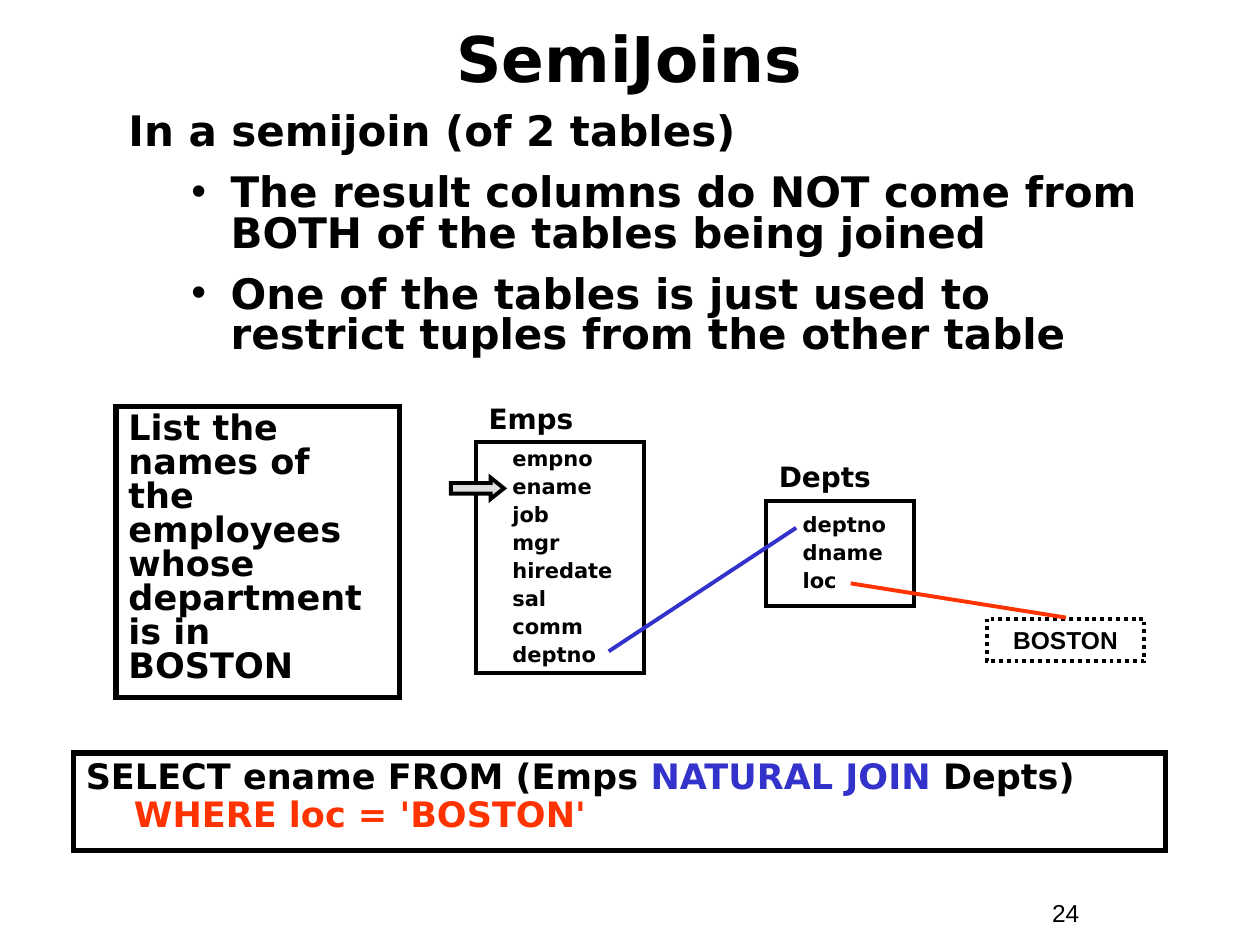
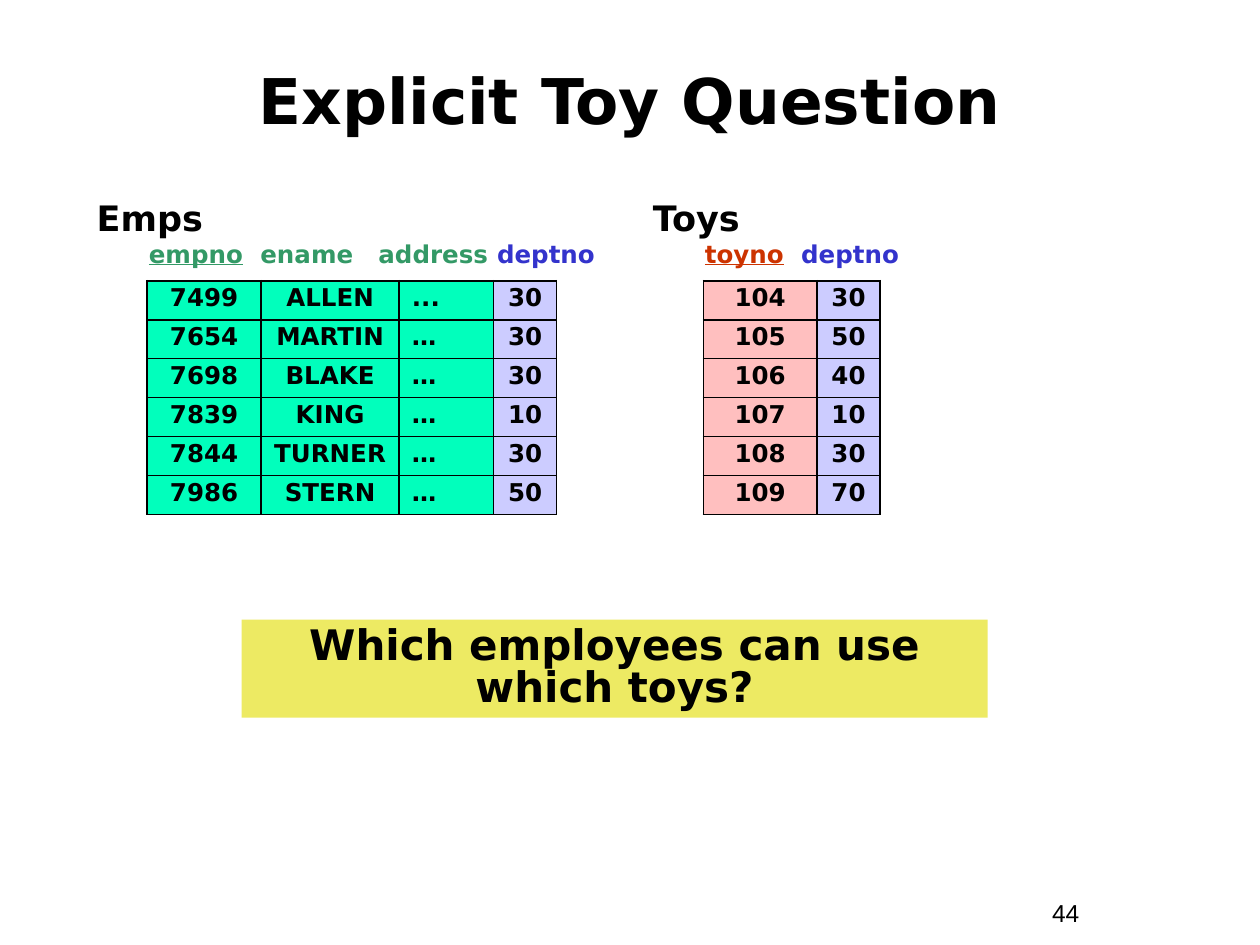
"""Build two slides on semijoins and a toy question."""
import pptx
import pptx.dml.color
import pptx.enum.dml
import pptx.enum.shapes
import pptx.enum.text
import pptx.oxml
import pptx.oxml.ns
import pptx.util
from pptx.util import Cm

BLACK, BLUE, RED = "000000", "3333CC", "FF3300"
GREEN, BRICK = "339966", "CC3300"
MINT, PINK, LILAC, YELLOW, GREY = "01FFBC", "FFBFBF", "CCCCFF", "EDEA63", "DDDDDD"
HEADING_FONT, PLAIN_FONT = "DejaVu Sans", "Arial"
PAGE_NUMBER_AT = (20.96, 17.98, 2.34, 0.86)

SEMIJOINS = {"title": "SemiJoins", "title_at": (0.84, 0.43, 23.7, 1.47), "number": "24"}
LEAD = "In a semijoin (of 2 tables)"
POINTS = [
    "The result columns do NOT come from BOTH of the tables being joined",
    "One of the tables is just used to restrict tuples from the other table",
]
REQUEST = "List the names of the employees whose department is in BOSTON"
QUERY = [
    ("SELECT ename FROM (Emps ", BLACK),
    ("NATURAL JOIN", BLUE),
    (" Depts)", BLACK),
    "\n",
    ("WHERE loc = 'BOSTON'", RED),
]
SCHEMAS = [
    ("Emps", (9.6, 8.92, 3.38, 4.65),
     ["empno", "ename", "job", "mgr", "hiredate", "sal", "comm", "deptno"]),
    ("Depts", (15.45, 10.1, 2.97, 2.12), ["deptno", "dname", "loc"]),
]
LINKS = [
    ((12.27, 13.13), (16.05, 10.64), BLUE),
    ((17.15, 11.76), (21.49, 12.45), RED),
]

TOYS = {"title": "Explicit Toy Question", "title_at": (0.84, 0.84, 23.7, 2.34), "number": "44"}
RELATIONS = [
    {
        "name": "Emps", "left": 2.97,
        "columns": [("empno", GREEN, MINT, 2.29, 0), ("ename", GREEN, MINT, 2.79, 2.25),
                    ("address", GREEN, MINT, 1.9, 4.63), ("deptno", BLUE, LILAC, 1.27, 7.02)],
        "rows": [("7499", "ALLEN", "...", "30"), ("7654", "MARTIN", "…", "30"),
                 ("7698", "BLAKE", "…", "30"), ("7839", "KING", "…", "10"),
                 ("7844", "TURNER", "…", "30"), ("7986", "STERN", "…", "50")],
    },
    {
        "name": "Toys", "left": 14.18,
        "columns": [("toyno", BRICK, PINK, 2.29, 0), ("deptno", BLUE, LILAC, 1.27, 1.94)],
        "rows": [("104", "30"), ("105", "50"), ("106", "40"),
                 ("107", "10"), ("108", "30"), ("109", "70")],
    },
]
TABLE_TOP, TABLE_HEIGHT = 5.66, 4.71
QUESTION = "Which employees can use which toys?"


def rgb(value):
    """Turn a hex string into a colour."""
    return pptx.dml.color.RGBColor.from_string(value)


def add_xml(parent, tag, inner="", **attributes):
    """Append a drawing element with the given attributes to parent."""
    listed = " ".join(f'{key}="{value}"' for key, value in attributes.items())
    parent.append(pptx.oxml.parse_xml(
        f'<a:{tag} {pptx.oxml.ns.nsdecls("a")} {listed}>{inner}</a:{tag}>'))


def write(frame, paragraphs, size=14, font=HEADING_FONT, bold=True, align="LEFT", anchor="TOP",
          spacing=1.0, before=0, left=0, hang=0, bullet_from=None):
    """Fill a text frame; a paragraph is a string or a list of coloured runs."""
    for index, content in enumerate(paragraphs):
        paragraph = frame.paragraphs[0] if index == 0 else frame.add_paragraph()
        properties = paragraph._p.get_or_add_pPr()
        bulleted = bullet_from is not None and index >= bullet_from
        if bulleted or bullet_from is None:
            properties.set("marL", str(Cm(left)))
            properties.set("indent", str(-Cm(hang)))
        if bulleted:
            add_xml(properties, "buFont", typeface=PLAIN_FONT)
            add_xml(properties, "buChar", char="•")
        paragraph.alignment = getattr(pptx.enum.text.PP_ALIGN, align)
        paragraph.line_spacing = spacing
        paragraph.space_before = pptx.util.Pt(before if index else 0)
        for part in [(content, BLACK)] if isinstance(content, str) else content:
            if part == "\n":
                paragraph.add_line_break()
                continue
            text, colour, *underlined = part
            run = paragraph.add_run()
            run.text = text
            run.font.name, run.font.size, run.font.bold = font, pptx.util.Pt(size), bold
            run.font.color.rgb = rgb(colour)
            run.font.underline = bool(underlined and underlined[0])
    frame.word_wrap = True
    frame.auto_size = pptx.enum.text.MSO_AUTO_SIZE.NONE
    frame.vertical_anchor = getattr(pptx.enum.text.MSO_ANCHOR, anchor)


def add_text(slide, place, paragraphs, **text_format):
    """Add a plain text box."""
    write(slide.shapes.add_textbox(*map(Cm, place)).text_frame, paragraphs, **text_format)


def add_box(slide, place, paragraphs=(), preset="RECTANGLE", fill=None, line=None, dash=None,
            **text_format):
    """Add a preset shape, outlined in black when a line width is given."""
    kind = getattr(pptx.enum.shapes.MSO_SHAPE, preset)
    box = slide.shapes.add_shape(kind, *map(Cm, place))
    box.shadow.inherit = False
    if fill:
        box.fill.solid()
        box.fill.fore_color.rgb = rgb(fill)
    else:
        box.fill.background()
    if line:
        box.line.color.rgb = rgb(BLACK)
        box.line.width = pptx.util.Pt(line)
        box.line.dash_style = dash
        add_xml(box.line._get_or_add_ln(), "miter", lim=800000)
    else:
        box.line.fill.background()
    write(box.text_frame, paragraphs, **text_format)
    return box


def add_link(slide, start, end, colour):
    """Draw a straight line between two points."""
    link = slide.shapes.add_connector(
        pptx.enum.shapes.MSO_CONNECTOR.STRAIGHT, *map(Cm, start + end))
    link.line.color.rgb = rgb(colour)
    link.line.width = pptx.util.Pt(2.25)
    add_xml(link._element.spPr, "effectLst")


def add_slide(deck, heading):
    """Add a title-only slide with its title and page number."""
    slide = deck.slides.add_slide(deck.slide_layouts[5])
    title = slide.shapes.title
    title.left, title.top, title.width, title.height = map(Cm, heading["title_at"])
    write(title.text_frame, [heading["title"]], size=36, align="CENTER", anchor="MIDDLE")
    add_text(slide, PAGE_NUMBER_AT, [heading["number"]], font=PLAIN_FONT, bold=False)
    return slide


def add_relation(slide, relation):
    """Add a relation: its name, column names and table of tuples."""
    left, columns, rows = relation["left"], relation["columns"], relation["rows"]
    add_text(slide, (left - 1.27, 3.84, 5.46, 1.12), [relation["name"]], size=20)
    table = slide.shapes.add_table(
        len(rows), len(columns), Cm(left), Cm(TABLE_TOP),
        Cm(sum(column[3] for column in columns)), Cm(TABLE_HEIGHT)).table
    table.first_row = table.horz_banding = False
    for column_index, (name, colour, fill, width, offset) in enumerate(columns):
        add_text(slide, (left - 0.22 + offset, 4.7, 2.9, 0.86),
                 [[(name, colour, column_index == 0)]])
        table.columns[column_index].width = Cm(width)
        for row_index, row in enumerate(rows):
            cell = table.cell(row_index, column_index)
            properties = cell._tc.get_or_add_tcPr()
            for side in "LRTB":
                add_xml(properties, f"ln{side}",
                        f'<a:solidFill><a:srgbClr val="{BLACK}"/></a:solidFill>',
                        w=pptx.util.Pt(1.08))
            cell.fill.solid()
            cell.fill.fore_color.rgb = rgb(fill)
            write(cell.text_frame, [row[column_index]], spacing=0.85,
                  align="LEFT" if name == "address" else "CENTER")


def build_semijoins(deck):
    """Build the slide that explains semijoins."""
    slide = add_slide(deck, SEMIJOINS)
    add_text(slide, (2.34, 2.18, 21.59, 5.08), [LEAD, *POINTS], size=24, spacing=0.8,
             before=12, left=2.06, hang=0.79, bullet_from=1)
    add_box(slide, (2.34, 8.2, 5.72, 5.87), [REQUEST], line=3, size=20, spacing=0.81)
    for name, place, fields in SCHEMAS:
        left, top = place[:2]
        add_text(slide, (left, top - 0.88, 3.45, 0.86), [name], size=16, spacing=0.9)
        add_box(slide, place, fields, line=2.25, size=12, anchor="MIDDLE", spacing=0.9,
                before=3, left=0.48)
    arrow = add_box(slide, (9.09, 9.63, 1.07, 0.43), preset="RIGHT_ARROW", fill=GREY, line=2.25)
    arrow.adjustments[0], arrow.adjustments[1] = 0.5, 0.625
    add_box(slide, (19.89, 12.47, 3.18, 0.86), ["BOSTON"], line=2.25, font=PLAIN_FONT,
            dash=pptx.enum.dml.MSO_LINE.ROUND_DOT, align="CENTER")
    for link in LINKS:
        add_link(slide, *link)
    add_box(slide, (1.48, 15.18, 22.02, 1.96), [QUERY], line=3, size=20, spacing=0.9,
            left=0.97, hang=0.97)


def build_toys(deck):
    """Build the slide that asks the toy question."""
    slide = add_slide(deck, TOYS)
    for relation in RELATIONS:
        add_relation(slide, relation)
    add_box(slide, (4.87, 12.49, 15.04, 1.98), [QUESTION], fill=YELLOW, size=24,
            align="CENTER", spacing=0.85)


def main():
    """Build and save the deck."""
    deck = pptx.Presentation()
    deck.slide_width, deck.slide_height = Cm(25.4), Cm(19.05)
    build_semijoins(deck)
    build_toys(deck)
    deck.save("out.pptx")


if __name__ == "__main__":
    main()
